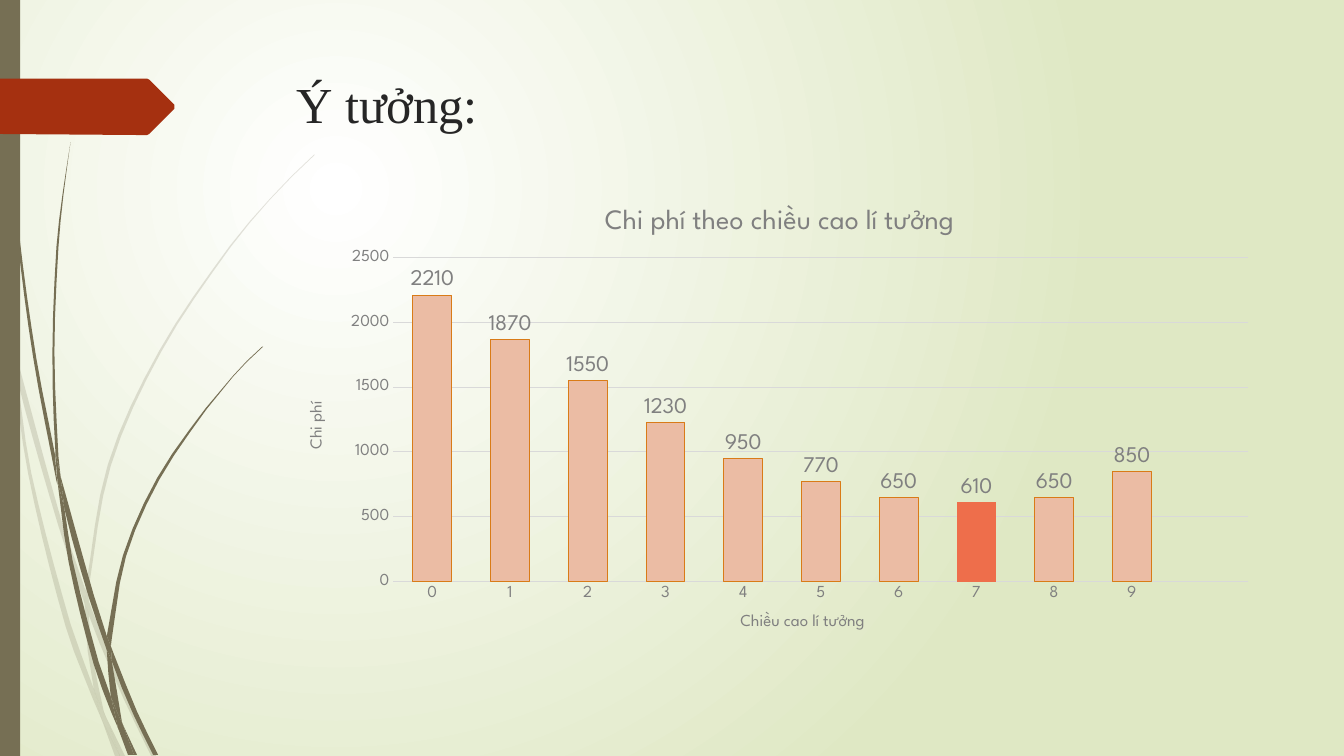
import collections
import pptx
import pptx.chart.data
import pptx.dml.color
import pptx.enum.chart
import pptx.enum.shapes
import pptx.enum.text
import pptx.oxml
import pptx.oxml.ns
import pptx.util

Pt = pptx.util.Pt
RGBColor = pptx.dml.color.RGBColor
Box = collections.namedtuple("Box", "left top width height")

WHITE = RGBColor(0xFF, 0xFF, 0xFF)
PALE_GREEN = RGBColor(0xDF, 0xE8, 0xC4)
OLIVE = RGBColor(0x76, 0x6F, 0x54)
RUST = RGBColor(0xA5, 0x30, 0x10)
INK = RGBColor(0x26, 0x26, 0x26)
GREY = RGBColor(0x80, 0x80, 0x80)
RULE = RGBColor(0xD9, 0xD9, 0xD9)
PEACH = RGBColor(0xEB, 0xBC, 0xA4)
ORANGE = RGBColor(0xD9, 0x7B, 0x17)
CORAL = RGBColor(0xEE, 0x6E, 0x4B)
CHART_FONT = "League Spartan"
TITLE_FONT = "Times New Roman"

UNIT = 0.72  # points per step of the outline grid
FAINT_BLADES = (
    "11,350 9,322 0,282 0,299 10,344",
    "58,522 84,599 85,586 62,520 14,345 17,376",
    "92,607 88,596 88,610 123,694 150,750 155,750 127,692",
    "119,750 124,750 105,711",
    "93,683 70,619 31,469 17,376 11,350 28,470 65,621 92,693 101,714 99,707",
    "84,599 87,646 93,683 96,692 105,711 103,706 91,646 88,610 88,608",
    "88,584 110,462 160,349 229,245 268,198 290,175 312,154 312,153 289,175 268,197 "
    "228,244 158,348 107,461 85,584 85,586 88,596",
    "101,714 114,750 119,750",
    "88,608 88,610 88,596 85,586 84,599",
    "96,692 93,683 99,707 101,714 119,750 105,711",
)
DARK_BLADES = (
    "7,110 17,233 33,355 56,477 57,481 55,457 55,453 36,355 19,232 8,109 5,48 4,0 3,0 4,48",
    "88,592 106,645 106,633 106,631 93,590 60,472 64,505",
    "113,649 110,641 111,656 132,708 152,749 157,749 136,706",
    "110,691 98,657 72,556 64,505 57,477 68,557 93,659 111,708 117,722 116,717",
    "60,472 58,453 54,349 58,245 63,193 70,141 62,193 56,245 52,349 55,449",
    "133,749 136,749 122,719",
    "57,477 64,505 60,472 55,449 55,453",
    "111,633 125,552 158,476 205,406 231,374 245,359 261,344 260,344 245,358 231,373 "
    "204,405 156,474 122,551 106,631 110,641",
    "117,722 127,749 131,749",
    "106,645 110,691 116,706 122,719 121,716 111,656 109,651",
    "106,645 109,651 111,656 110,641 106,631 106,633",
    "116,706 110,691 116,717 117,722 130,749 133,749 122,719",
)
ARROW = "173,108 148,133 146,134 136,134 0,133 0,78 136,78 146,78 148,79 173,104"


def read_points(outline):
    """Turn an outline string into complex grid points."""
    return [complex(*map(int, pair.split(","))) for pair in outline.split()]


def round_off(corners, stride=30):
    """Bend the long sides of a closed outline, leaving its sharp corners."""
    count = len(corners)
    tangents = []
    for i, here in enumerate(corners):
        before = here - corners[i - 1]
        after = corners[(i + 1) % count] - here
        cosine = (before * after.conjugate()).real / abs(before) / abs(after)
        through = before + after
        tangents.append(through / abs(through) if cosine > 0.9 else None)
    points = []
    for i, start in enumerate(corners):
        j = (i + 1) % count
        end = corners[j]
        side = end - start
        direction, reach = side / abs(side), abs(side) / 3
        first = start + reach * (tangents[i] or direction)
        second = end - reach * (tangents[j] or direction)
        steps = max(1, round(abs(side) / stride))
        for step in range(steps):
            t = step / steps
            u = 1 - t
            points.append(u**3 * start + 3 * u * u * t * first
                          + 3 * u * t * t * second + t**3 * end)
    return points


def paint(shape, color):
    """Give a shape a flat fill with no line or shadow."""
    shape.fill.solid()
    shape.fill.fore_color.rgb = color
    shape.line.fill.background()
    shape.shadow.inherit = False


def add_outline(shapes, box, points, color):
    """Draw a closed outline of grid points from the corner of the box."""
    spots = [(Pt(p.real * UNIT), Pt(p.imag * UNIT)) for p in points]
    builder = shapes.build_freeform(*spots[0], scale=1.0)
    builder.add_line_segments(spots[1:], close=True)
    shape = builder.convert_to_shape(Pt(box.left), Pt(box.top))
    paint(shape, color)
    return shape


def add_background(page):
    """Fill the page with a round glow centred towards the top left."""
    fill = page.background.fill
    fill.gradient()
    for stop, color in zip(fill.gradient_stops, (WHITE, PALE_GREEN)):
        stop.color.rgb = color
    gradient = next(page.element.iter(pptx.oxml.ns.qn("a:gradFill")))
    for line in gradient.findall(pptx.oxml.ns.qn("a:lin")):
        gradient.remove(line)
    gradient.append(pptx.oxml.parse_xml(
        f'<a:path {pptx.oxml.ns.nsdecls("a")} path="circle">'
        '<a:fillToRect l="50000" t="50000" r="100000" b="100000"/></a:path>'))


def add_decoration(page, box):
    """Draw the grass blades, the side bar and the arrow tab."""
    for blades, opacity in ((FAINT_BLADES, 20), (DARK_BLADES, 100)):
        group = page.shapes.add_group_shape()
        for blade in blades:
            shape = add_outline(group.shapes, box, round_off(read_points(blade)), OLIVE)
            if opacity < 100:
                tone = next(shape.element.spPr.iter(pptx.oxml.ns.qn("a:srgbClr")))
                tone.append(pptx.oxml.parse_xml(
                    f'<a:alpha {pptx.oxml.ns.nsdecls("a")} val="{opacity * 1000}"/>'))
    bar = page.shapes.add_shape(pptx.enum.shapes.MSO_SHAPE.RECTANGLE, Pt(box.left),
                                Pt(box.top), Pt(14.4), Pt(box.height))
    paint(bar, OLIVE)
    add_outline(page.shapes, box, read_points(ARROW), RUST)


def style_font(face, size, color=GREY, font=CHART_FONT):
    """Set size, colour and family of a font."""
    face.size, face.name, face.bold = Pt(size), font, False
    face.color.rgb = color


def add_span(para, text, size, color, font):
    """Add one run of text."""
    span = para.add_run()
    span.text = text
    style_font(span.font, size, color, font)


def add_title(page, box):
    """Write the heading of the page."""
    frame = page.shapes.add_textbox(*map(Pt, box)).text_frame
    frame.word_wrap = True
    frame.vertical_anchor = pptx.enum.text.MSO_ANCHOR.TOP
    add_span(frame.paragraphs[0], "Ý tưởng:", 36, INK, TITLE_FONT)


def make_layout(x, y, width=None, height=None):
    """Build a manual chart layout from fractions of the chart frame."""
    inner = '<c:layoutTarget val="inner"/>' if width else ""
    sizes = f'<c:w val="{width}"/><c:h val="{height}"/>' if width else ""
    return pptx.oxml.parse_xml(
        f'<c:layout {pptx.oxml.ns.nsdecls("c")}><c:manualLayout>{inner}'
        f'<c:xMode val="edge"/><c:yMode val="edge"/><c:x val="{x}"/><c:y val="{y}"/>'
        f'{sizes}</c:manualLayout></c:layout>')


def place(element, layout):
    """Swap in a layout, after the text of a title or first in a plot area."""
    for old in element.findall(pptx.oxml.ns.qn("c:layout")):
        element.remove(old)
    text = element.find(pptx.oxml.ns.qn("c:tx"))
    element.insert(0 if text is None else 1, layout)


def add_cost_chart(page, box):
    """Draw the column chart of cost by ideal height."""
    data = pptx.chart.data.CategoryChartData()
    data.categories = [str(height) for height in range(10)] + [""]
    data.add_series("Series 1", (2210, 1870, 1550, 1230, 950, 770, 650, 610, 650, 850, None))
    chart = page.shapes.add_chart(pptx.enum.chart.XL_CHART_TYPE.COLUMN_CLUSTERED,
                                  *map(Pt, box), data).chart
    chart.has_legend = False
    style_font(chart.font, 12)
    across, up = chart.category_axis, chart.value_axis
    titles = ((chart, "Chi phí theo chiều cao lí tưởng", 20, 0.32, 0.04),
              (across, "Chiều cao lí tưởng", 12, 0.46, 0.91),
              (up, "Chi phí", 12, 0.02, 0.46))
    for owner, text, size, x, y in titles:
        owner.has_title = True
        title = owner.chart_title if owner is chart else owner.axis_title
        para = title.text_frame.paragraphs[0]
        add_span(para, text, size, GREY, CHART_FONT)
        place(next(para._p.iterancestors(pptx.oxml.ns.qn("c:title"))), make_layout(x, y))
    place(chart.element.chart.plotArea, make_layout(0.11, 0.16, 0.87, 0.69))

    for axis in (across, up):
        axis.major_tick_mark = pptx.enum.chart.XL_TICK_MARK.NONE
        style_font(axis.tick_labels.font, 12)
    up.minimum_scale, up.maximum_scale, up.major_unit = 0, 2500, 500
    up.format.line.fill.background()
    for line in (across.format.line, up.major_gridlines.format.line):
        line.color.rgb, line.width = RULE, Pt(0.75)

    plot = chart.plots[0]
    plot.gap_width, plot.overlap, plot.vary_by_categories = 100, -24, False
    series = plot.series[0]
    series.format.fill.solid()
    series.format.fill.fore_color.rgb = PEACH
    series.format.line.color.rgb, series.format.line.width = ORANGE, Pt(0.75)
    lowest = series.points[7].format
    lowest.fill.solid()
    lowest.fill.fore_color.rgb = CORAL
    lowest.line.fill.background()
    labels = series.data_labels
    labels.show_value = True
    labels.position = pptx.enum.chart.XL_LABEL_POSITION.OUTSIDE_END
    style_font(labels.font, 16)


deck = pptx.Presentation()
deck.slide_width, deck.slide_height = Pt(960), Pt(540)
page = deck.slides.add_slide(deck.slide_layouts[6])
add_background(page)
add_decoration(page, Box(0, 0, 960, 540))
add_title(page, Box(204.5, 49, 702, 100.8))
add_cost_chart(page, Box(203.8, 130.3, 702, 335.5))
deck.save("out.pptx")
